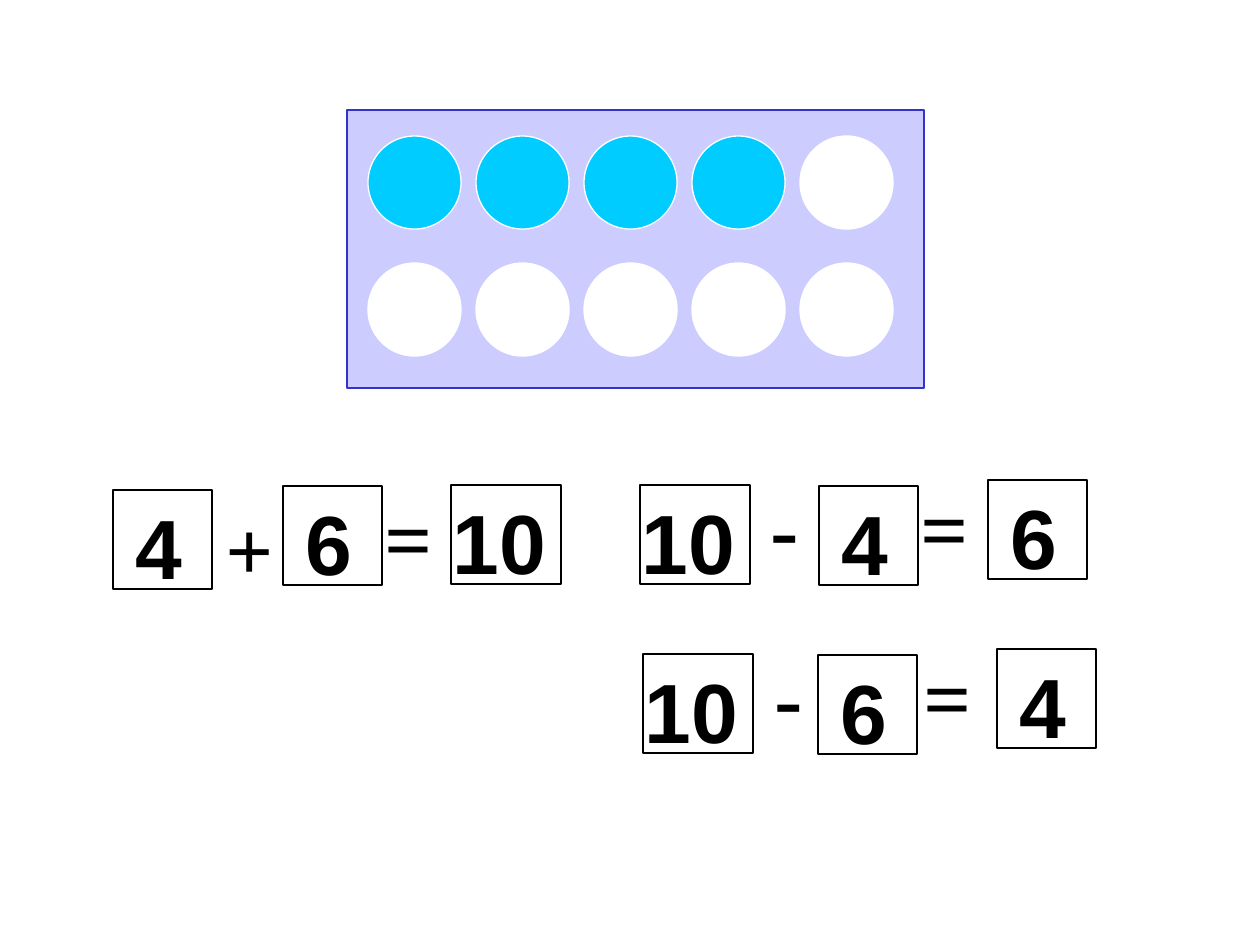
from pptx import Presentation
from pptx.dml.color import RGBColor
from pptx.enum.shapes import MSO_SHAPE as SHAPE
from pptx.util import Pt

PX = 914400 / 126
COLORS = {"frame": "CCCCFF", "frame_line": "3333CC", "counter": "00CCFF",
          "empty": "FFFFFF", "ink": "000000"}


def add_figure(shapes, kind, x, y, w, h, fill, line):
    """Add an outlined shape; a fill of None leaves it hollow."""
    sp = shapes.add_shape(kind, *(round(v * PX) for v in (x, y, w, h)))
    sp.shadow.inherit = False
    if fill:
        sp.fill.solid()
        sp.fill.fore_color.rgb = RGBColor.from_string(COLORS[fill])
    else:
        sp.fill.background()
    sp.line.color.rgb = RGBColor.from_string(COLORS[line])
    sp.line.width = Pt(0.75)


def add_label(shapes, text, x, y, w, h, font):
    tb = shapes.add_textbox(*(round(v * PX) for v in (x, y, w, h)))
    tf = tb.text_frame
    tf.word_wrap = True
    tf.margin_top = round(14 * PX)
    tf.margin_bottom = 0
    r = tf.paragraphs[0].add_run()
    r.text = text
    r.font.name = font
    r.font.size = Pt(48)
    r.font.bold = True
    r.font.color.rgb = RGBColor.from_string(COLORS["ink"])


prs = Presentation()
prs.slide_width = round(1260 * PX)
prs.slide_height = round(945 * PX)
s = prs.slides.add_slide(prs.slide_layouts[6])

# Ten frame: four counters, six empty places
add_figure(s.shapes, SHAPE.RECTANGLE, 347, 110, 577, 278, "frame", "frame_line")
counters = s.shapes.add_group_shape().shapes
empties = s.shapes.add_group_shape().shapes
for i in range(10):
    row, col = divmod(i, 5)
    shapes, fill = (counters, "counter") if i < 4 else (empties, "empty")
    add_figure(shapes, SHAPE.OVAL, 368 + 108 * col, 136 + 127 * row, 93, 93,
               fill, "empty")

# Each equation: operators and boxed numbers with their left and top
equations = [
    ([("+", 213, 483), ("=", 372, 472)],
     [("4", 113, 490), ("6", 283, 486), ("10", 451, 485)]),
    ([("-", 758, 462), ("=", 908, 462)],
     [("6", 988, 480), ("4", 819, 486), ("10", 640, 485)]),
    ([("-", 762, 631), ("=", 911, 631)],
     [("6", 818, 655), ("4", 997, 649), ("10", 643, 654)]),
]
for operators, numbers in equations:
    shapes = s.shapes.add_group_shape().shapes
    for text, x, y in operators:
        add_label(shapes, text, x, y, 79, 120, "Times New Roman")
    for text, x, y in numbers:
        box_w, text_dx, text_w = (110, -11, 180) if text == "10" else (99, 10, 79)
        add_label(shapes, text, x + text_dx, y - 8, text_w, 113, "Arial")
        add_figure(shapes, SHAPE.RECTANGLE, x, y, box_w, 99, None, "ink")

prs.save("out.pptx")
